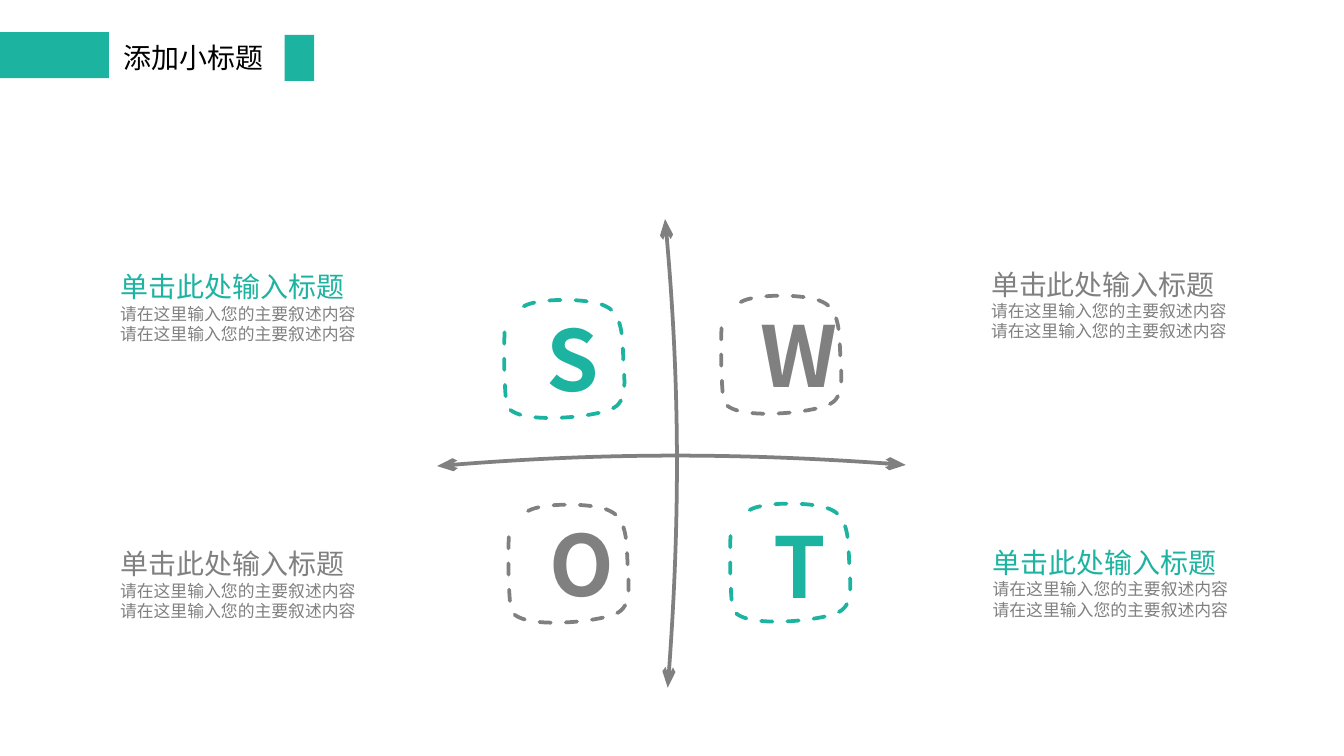
from dataclasses import dataclass

import lxml.etree
import pptx
import pptx.dml.color
import pptx.enum.dml
import pptx.enum.shapes
import pptx.enum.text
import pptx.oxml.ns
import pptx.util
from pptx.util import Cm


@dataclass(frozen=True)
class Theme:
    font: str = "Noto Sans CJK SC"
    teal: str = "1DB3A1"
    gray: str = "808080"
    white: str = "FFFFFF"
    black: str = "000000"
    heading: int = 15
    body: int = 9
    letter: int = 45
    line: int = 2


THEME = Theme()

# Each curve: a start point, then Bezier pieces (control, control, end), in cm.
HORIZONTAL_AXIS = (8.26, 8.81), [((11.18, 8.56), (14.17, 8.56), (17.12, 8.79))]
VERTICAL_AXIS = (12.57, 4.14), [((12.85, 7.06), (12.85, 10.06), (12.62, 13.0))]
BADGE_OUTLINE = (0.38, 0.13), [
    ((0.64, -0.03), (1.63, -0.03), (1.93, 0.13)),
    ((2.26, 0.28), (2.24, 0.76), (2.26, 1.09)),
    ((2.26, 1.42), (2.39, 1.96), (2.01, 2.08)),
    ((1.65, 2.24), (0.1, 2.39), (0.05, 1.96)),
    ((0, 1.52), (0, 0.76), (0.03, 0.38)),
]

# Letter, colour, badge origin, letter box origin, callout origin.
QUADRANTS = [
    ("S", THEME.teal, (9.52, 5.66), (10.08, 5.69), (2.08, 5.0)),
    ("W", THEME.gray, (13.62, 5.58), (14.12, 5.61), (18.54, 4.95)),
    ("O", THEME.gray, (9.6, 9.53), (10.13, 9.55), (2.08, 10.24)),
    ("T", THEME.teal, (13.79, 9.51), (14.36, 9.6), (18.57, 10.21)),
]


def rgb(color):
    return pptx.dml.color.RGBColor.from_string(color)


def style_paragraph(para, text, size, color, bold=False):
    para.text = text
    para.alignment = pptx.enum.text.PP_ALIGN.LEFT
    para.space_before = pptx.util.Pt(0)
    para.font.name = THEME.font
    para.font.size = pptx.util.Pt(size)
    para.font.bold = bold
    para.font.color.rgb = rgb(color)
    latin = para._p.find(".//" + pptx.oxml.ns.qn("a:latin"))
    east_asian = lxml.etree.Element(pptx.oxml.ns.qn("a:ea"), typeface=THEME.font)
    latin.addnext(east_asian)


def prepare_frame(frame, side=0.19, edge=0.1):
    frame.word_wrap = True
    frame.auto_size = pptx.enum.text.MSO_AUTO_SIZE.NONE
    frame.vertical_anchor = pptx.enum.text.MSO_ANCHOR.TOP
    frame.margin_left = frame.margin_right = Cm(side)
    frame.margin_top = frame.margin_bottom = Cm(edge)


def add_bar(page, left, top, width, height):
    bar = page.shapes.add_shape(pptx.enum.shapes.MSO_SHAPE.RECTANGLE,
                                Cm(left), Cm(top), Cm(width), Cm(height))
    bar.shadow.inherit = False
    bar.fill.solid()
    bar.fill.fore_color.rgb = rgb(THEME.teal)
    bar.line.fill.background()


def set_title(page, text):
    title = page.shapes.title
    title.left, title.top = Cm(2.14), Cm(0.66)
    title.width, title.height = Cm(3.43), Cm(0.84)
    prepare_frame(title.text_frame)
    style_paragraph(title.text_frame.paragraphs[0], text, THEME.heading, THEME.black)


def bend_segments(shape):
    """Turn each three line segments of a freeform into one cubic Bezier."""
    qn = pptx.oxml.ns.qn
    segments = list(shape._element.iter(qn("a:lnTo")))
    for index in range(0, len(segments), 3):
        curve = lxml.etree.Element(qn("a:cubicBezTo"))
        segments[index].addprevious(curve)
        for segment in segments[index:index + 3]:
            curve.append(segment[0])
            segment.getparent().remove(segment)


def add_curve(shapes, curve, color, origin=(0, 0)):
    def place(point):
        return tuple(Cm(base + offset) for base, offset in zip(origin, point))

    start, pieces = curve
    builder = shapes.build_freeform(*place(start))
    builder.add_line_segments([place(point) for piece in pieces for point in piece],
                              close=False)
    shape = builder.convert_to_shape()
    bend_segments(shape)
    shape.shadow.inherit = False
    shape.fill.background()
    shape.line.color.rgb = rgb(color)
    shape.line.width = pptx.util.Pt(THEME.line)
    return shape


def add_axis(page, curve):
    axis = add_curve(page.shapes, curve, THEME.gray)
    outline = axis.line._get_or_add_ln()
    for end in ("a:headEnd", "a:tailEnd"):
        lxml.etree.SubElement(outline, pptx.oxml.ns.qn(end), type="arrow", len="lg")


def add_badge(page, letter, color, origin, letter_origin):
    group = page.shapes.add_group_shape()
    outline = add_curve(group.shapes, BADGE_OUTLINE, color, origin)
    outline.fill.solid()
    outline.fill.fore_color.rgb = rgb(THEME.white)
    outline.line.dash_style = pptx.enum.dml.MSO_LINE.DASH
    outline.line._get_or_add_ln().set("cap", "rnd")
    left, top = letter_origin
    box = group.shapes.add_textbox(Cm(left), Cm(top), Cm(1.3), Cm(2.18))
    prepare_frame(box.text_frame, side=0.25, edge=0.13)
    style_paragraph(box.text_frame.paragraphs[0], letter, THEME.letter, color, bold=True)


def add_callout(page, origin, color):
    left, top = origin
    box = page.shapes.add_textbox(Cm(left), Cm(top), Cm(4.88), Cm(2.64))
    frame = box.text_frame
    prepare_frame(frame)
    style_paragraph(frame.paragraphs[0], "单击此处输入标题", THEME.heading, color)
    for _ in range(2):
        style_paragraph(frame.add_paragraph(), "请在这里输入您的主要叙述内容",
                        THEME.body, THEME.gray)


def main():
    deck = pptx.Presentation()
    deck.slide_width, deck.slide_height = Cm(25.4), Cm(14.29)
    title_only = deck.slide_layouts[5]
    page = deck.slides.add_slide(title_only)

    add_bar(page, 0, 0.61, 2.06, 0.87)
    add_bar(page, 5.38, 0.66, 0.56, 0.87)
    set_title(page, "添加小标题")
    for curve in (HORIZONTAL_AXIS, VERTICAL_AXIS):
        add_axis(page, curve)
    for letter, color, origin, letter_origin, callout_origin in QUADRANTS:
        add_badge(page, letter, color, origin, letter_origin)
        add_callout(page, callout_origin, color)

    deck.save("out.pptx")


if __name__ == "__main__":
    main()
